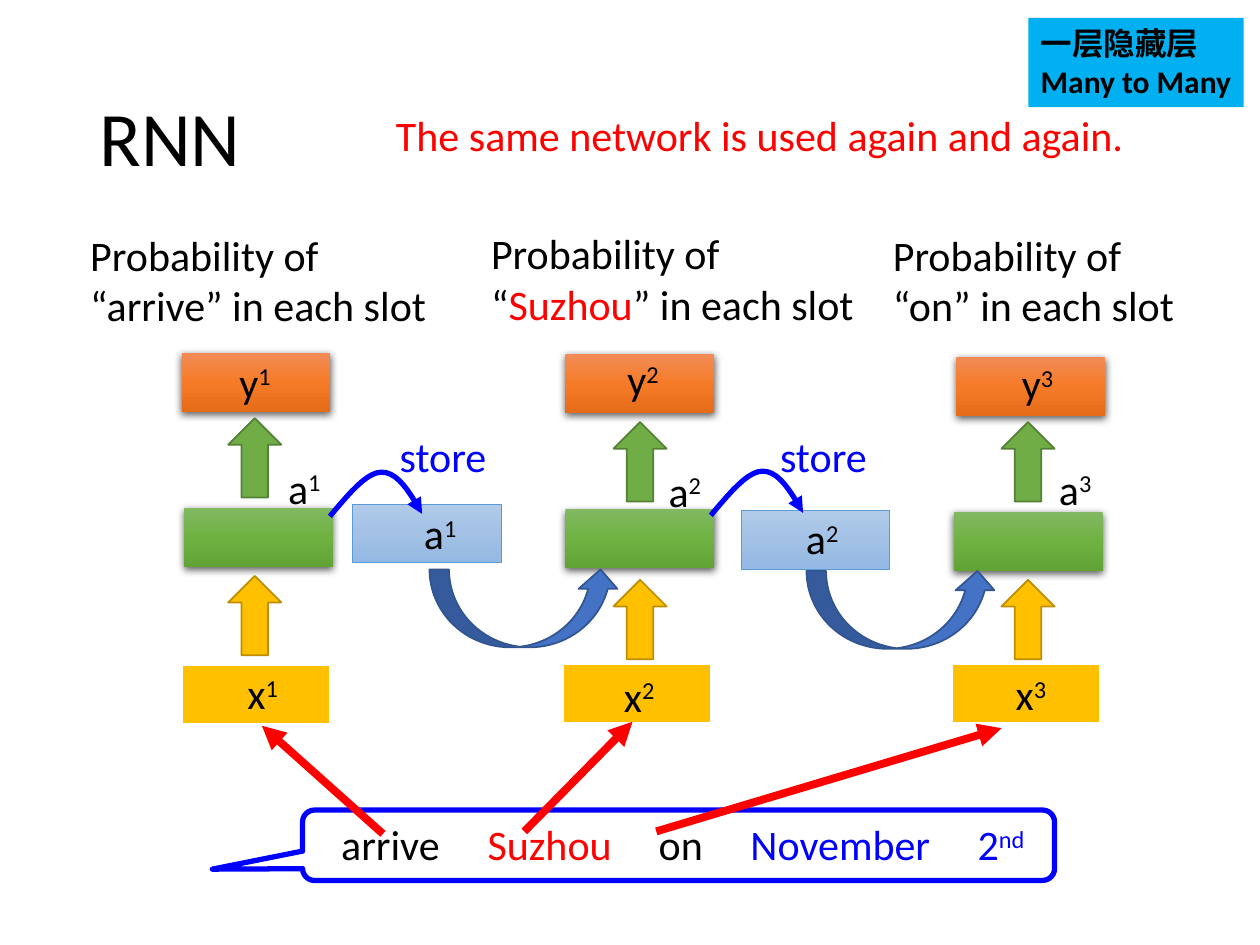
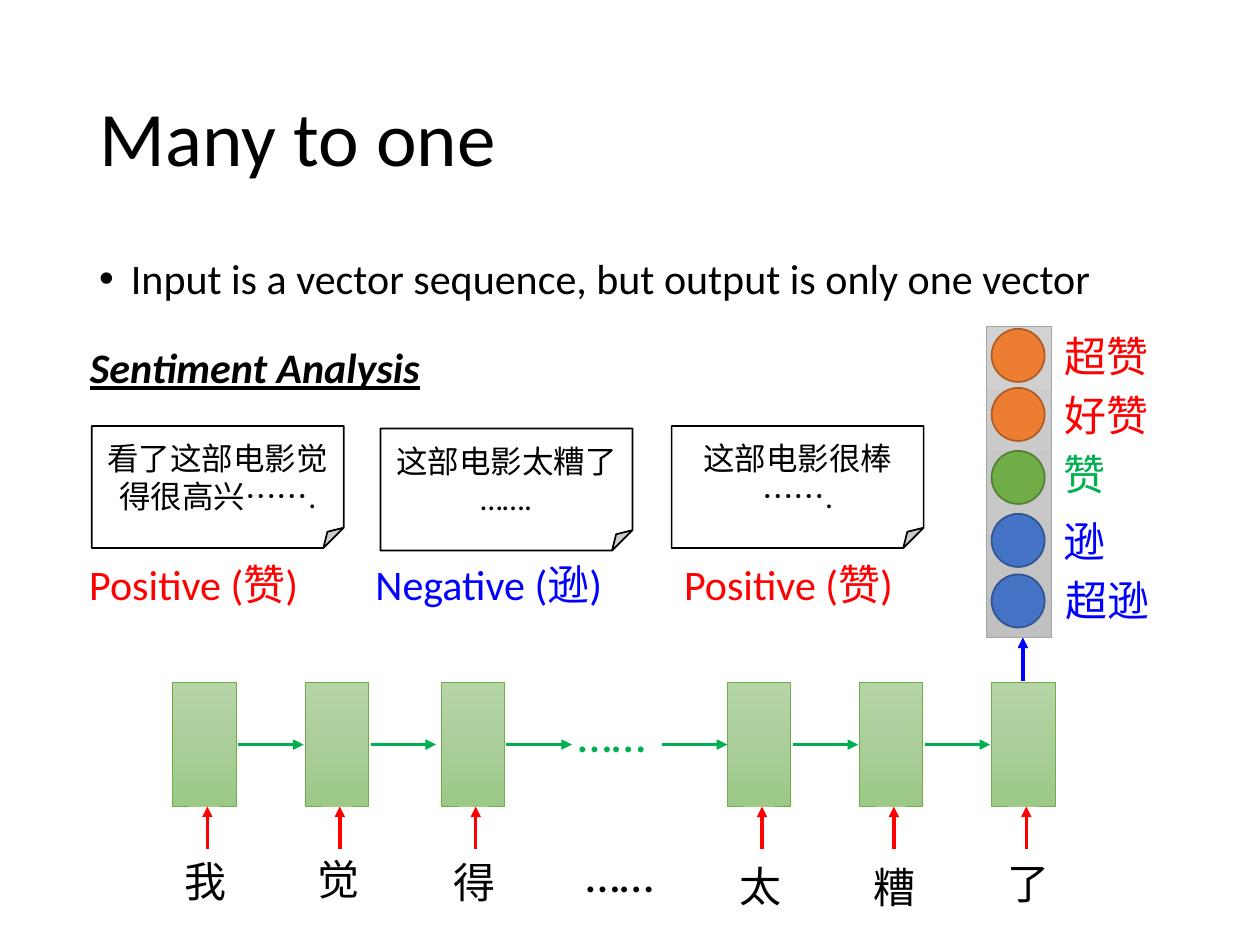
from copy import deepcopy
from dataclasses import dataclass
from typing import NamedTuple, Optional, Sequence, Union

from lxml.etree import SubElement
from pptx import Presentation
from pptx.dml.color import RGBColor
from pptx.enum.shapes import MSO_CONNECTOR, MSO_SHAPE as Preset
from pptx.enum.text import MSO_ANCHOR as Anchor, MSO_AUTO_SIZE, PP_ALIGN as Align
from pptx.oxml.ns import qn
from pptx.util import Cm, Pt

FONT = "Calibri"
BLACK = RGBColor(0x00, 0x00, 0x00)
WHITE = RGBColor(0xFF, 0xFF, 0xFF)
RED = RGBColor(0xFF, 0x00, 0x00)
BLUE = RGBColor(0x00, 0x00, 0xFF)
SKY = RGBColor(0x00, 0xB0, 0xF0)
EMERALD = RGBColor(0x00, 0xB0, 0x50)
GOLD, GOLD_EDGE = RGBColor(0xFF, 0xC0, 0x00), RGBColor(0xBD, 0x8E, 0x00)
GREEN, GREEN_EDGE = RGBColor(0x70, 0xAD, 0x47), RGBColor(0x53, 0x80, 0x35)
NAVY, NAVY_EDGE = RGBColor(0x44, 0x72, 0xC4), RGBColor(0x32, 0x54, 0x91)
ORANGE, ORANGE_EDGE = RGBColor(0xED, 0x7D, 0x31), RGBColor(0xAF, 0x5C, 0x24)
MEMORY_EDGE = RGBColor(0x5B, 0x9B, 0xD5)
SCORE_EDGE = RGBColor(0xA5, 0xA5, 0xA5)


def gradient(*codes: str) -> tuple:
    return tuple(RGBColor.from_string(code) for code in codes)


HIDDEN_FILL = gradient("81B861", "6FB242", "62A336")
OUTPUT_FILL = gradient("F18C57", "F67B28", "E56C19")
MEMORY_FILL = gradient("B1CBE9", "A3C1E5", "93B9E4")
CELL_FILL = gradient("B5D5A7", "AACE9A", "9CC987")
SCORE_FILL = gradient("D2D2D2", "C8C8C8", "C0C0C0")


class Box(NamedTuple):
    """Left, top, width and height in centimetres."""
    left: float
    top: float
    width: float
    height: float

    def lengths(self) -> list:
        return [Cm(value) for value in self]


class Point(NamedTuple):
    x: float
    y: float


class Run(NamedTuple):
    text: str
    color: Optional[RGBColor] = None
    superscript: bool = False


@dataclass
class Step:
    """One time step of the network, with the places of its parts."""
    input_box: Point
    output_box: Point
    output_arrow: Point
    input_label: Point
    output_label: Point
    state_label: Point
    word_arrow: tuple


@dataclass
class Memory:
    """A stored state that is handed to the next step."""
    box: Point
    label: Point
    store_left: float
    curve: Point
    feedback: Point


@dataclass
class Score:
    label: str
    label_at: Point
    circle_top: float
    fill: RGBColor
    edge: RGBColor
    color: RGBColor


@dataclass
class Review:
    lines: list
    note: Point
    verdict: str
    verdict_left: float
    color: RGBColor


@dataclass
class Cell:
    left: float
    character: str
    character_at: Point


STEPS = [
    Step(Point(3.66, 13.41), Point(3.66, 7.11), Point(4.6, 8.43), Point(4.04, 13.34),
         Point(3.89, 7.06), Point(4.88, 9.19), (Point(7.72, 16.81), Point(5.28, 14.63))),
    Step(Point(11.35, 13.39), Point(11.4, 7.14), Point(12.37, 8.51), Point(11.63, 13.39),
         Point(11.71, 7.01), Point(12.55, 9.25), (Point(10.57, 16.76), Point(12.75, 14.55))),
    Step(Point(19.18, 13.39), Point(19.28, 7.19), Point(20.19, 8.51), Point(19.53, 13.36),
         Point(19.66, 7.09), Point(20.42, 9.22), (Point(13.23, 16.76), Point(20.19, 14.68))),
]
MEMORIES = [
    Memory(Point(7.11, 10.16), Point(7.62, 10.11), 7.47, Point(6.65, 9.52), Point(8.66, 11.48)),
    Memory(Point(14.94, 10.29), Point(15.32, 10.21), 15.14, Point(14.33, 9.5), Point(16.26, 11.51)),
]
STORE_CURVE = [
    [Point(0, 0.89), Point(0.38, 0.44), Point(0.74, 0), Point(1.04, 0)],
    [Point(1.04, 0), Point(1.37, -0.01), Point(1.62, 0.42), Point(1.86, 0.84)],
]
PROBABILITIES = [
    ("arrive", BLACK, Box(1.57, 4.5, 7.49, 2.31)),
    ("Suzhou", RED, Box(9.65, 4.47, 8.1, 2.31)),
    ("on", BLACK, Box(17.75, 4.5, 6.48, 2.31)),
]
SENTENCE = [Run("arrive\t"), Run("Suzhou\t", RED), Run("on\t"),
            Run("November\t2", BLUE), Run("nd", BLUE, True)]
SCORES = [
    Score("超赞", Point(21.21, 6.53), 6.63, ORANGE, ORANGE_EDGE, RED),
    Score("好赞", Point(21.21, 7.72), 7.82, ORANGE, ORANGE_EDGE, RED),
    Score("赞", Point(21.18, 8.92), 9.09, GREEN, GREEN_EDGE, EMERALD),
    Score("逊", Point(21.18, 10.26), 10.36, NAVY, NAVY_EDGE, BLUE),
    Score("超逊", Point(21.23, 11.46), 11.58, NAVY, NAVY_EDGE, BLUE),
]
REVIEWS = [
    Review(["看了这部电影觉得很高兴……."], Point(1.85, 8.59), "Positive (赞)", 1.55, RED),
    Review(["这部电影太糟了", "……."], Point(7.67, 8.64), "Negative (逊)", 7.32, BLUE),
    Review(["这部电影很棒 ……."], Point(13.54, 8.59), "Positive (赞)", 13.54, RED),
]
CELLS = [
    Cell(3.48, "我", Point(3.48, 17.12)), Cell(6.15, "觉", Point(6.15, 17.09)),
    Cell(8.89, "得", Point(8.89, 17.15)), Cell(14.66, "太", Point(14.66, 17.22)),
    Cell(17.32, "糟", Point(17.35, 17.25)), Cell(19.99, "了", Point(20.07, 17.17)),
]


def write_text(shape, lines: Sequence[Union[str, list]], *, size: float = 24,
               color: RGBColor = BLACK, bold: bool = False, italic: bool = False,
               underline: bool = False, align=Align.LEFT, anchor=Anchor.TOP,
               wrap: bool = True, spacing: Optional[float] = None,
               bullet: bool = False, tabs: Sequence[float] = ()) -> None:
    """Fill a shape with paragraphs, each a string or a list of runs."""
    frame = shape.text_frame
    frame.auto_size = MSO_AUTO_SIZE.NONE
    frame.word_wrap = wrap
    frame.vertical_anchor = anchor
    for index, line in enumerate(lines):
        paragraph = frame.add_paragraph() if index else frame.paragraphs[0]
        properties = paragraph._p.get_or_add_pPr()
        if bullet:
            properties.set("marL", str(Cm(0.64)))
            properties.set("indent", str(-Cm(0.64)))
            SubElement(properties, qn("a:buFont"), typeface="Arial")
            SubElement(properties, qn("a:buChar"), char="•")
        if tabs:
            tab_list = SubElement(properties, qn("a:tabLst"))
            for tab in tabs:
                SubElement(tab_list, qn("a:tab"), pos=str(Cm(tab)), algn="l")
        paragraph.alignment = align
        if spacing:
            paragraph.line_spacing = spacing
        for part in [Run(line)] if isinstance(line, str) else line:
            run = paragraph.add_run()
            run.text = part.text
            font = run.font
            font.name, font.size = FONT, Pt(size)
            font.bold, font.italic, font.underline = bold, italic, underline
            font.color.rgb = part.color or color
            if part.superscript:
                run._r.get_or_add_rPr().set("baseline", "30000")


def add_text(slide, box: Box, *lines: Union[str, list], **text_format) -> None:
    write_text(slide.shapes.add_textbox(*box.lengths()), lines, **text_format)


def add_symbol(slide, place: Point, letter: str, number: int) -> None:
    """Write a variable with its superscript number."""
    add_text(slide, Box(*place, 2.51, 1.27), [Run(letter), Run(str(number), superscript=True)],
             align=Align.CENTER)


def style_shape(shape, fill=None, edge: Optional[RGBColor] = None,
                edge_width: float = 1, shadow: bool = False) -> None:
    """Format with no fill, a colour, or a tuple of three gradient colours."""
    shape.shadow.inherit = False
    if fill is None:
        shape.fill.background()
    elif isinstance(fill, RGBColor):
        shape.fill.solid()
        shape.fill.fore_color.rgb = fill
    else:
        shape.fill.gradient()
        shape.fill.gradient_angle = 270
        stop_list = shape._element.spPr.find(".//" + qn("a:gsLst"))
        stop_list.insert(1, deepcopy(stop_list[0]))
        for stop, position, color in zip(shape.fill.gradient_stops, (0, 0.5, 1), fill):
            stop.position = position
            stop.color.rgb = color
    if edge is None:
        shape.line.fill.background()
    else:
        shape.line.color.rgb = edge
        shape.line.width = Pt(edge_width)
    if shadow:
        effects = shape._element.spPr.find(qn("a:effectLst"))
        outer = SubElement(effects, qn("a:outerShdw"), blurRad=str(Pt(4.5)), dist=str(Pt(1.5)),
                           dir="5400000", algn="ctr", rotWithShape="0")
        black = SubElement(outer, qn("a:srgbClr"), val="000000")
        SubElement(black, qn("a:alpha"), val="63000")


def add_shape(slide, preset, box: Box, **style):
    shape = slide.shapes.add_shape(preset, *box.lengths())
    style_shape(shape, **style)
    return shape


def add_arrowhead(shape) -> None:
    SubElement(shape.line._get_or_add_ln(), qn("a:tailEnd"), type="triangle")


def add_arrow(slide, start: Point, end: Point, color: RGBColor, width: float = 2) -> None:
    ends = [Cm(value) for value in (*start, *end)]
    connector = slide.shapes.add_connector(MSO_CONNECTOR.STRAIGHT, *ends)
    connector.line.color.rgb = color
    connector.line.width = Pt(width)
    add_arrowhead(connector)
    SubElement(connector._element.spPr, qn("a:effectLst"))


def bezier(points: Sequence[Point], t: float) -> Point:
    weights = ((1 - t) ** 3, 3 * t * (1 - t) ** 2, 3 * t ** 2 * (1 - t), t ** 3)
    return Point(*(sum(w * value for w, value in zip(weights, axis)) for axis in zip(*points)))


def add_store_curve(slide, place: Point, samples: int = 10) -> None:
    points = [STORE_CURVE[0][0]] + [bezier(part, step / samples) for part in STORE_CURVE
                                    for step in range(1, samples + 1)]
    start, *rest = [(Cm(place.x + point.x), Cm(place.y + point.y)) for point in points]
    builder = slide.shapes.build_freeform(*start)
    builder.add_line_segments(rest, close=False)
    curve = builder.convert_to_shape()
    style_shape(curve, edge=BLUE, edge_width=3)
    add_arrowhead(curve)


def add_titled_slide(presentation, title: str):
    slide = presentation.slides.add_slide(presentation.slide_layouts[5])
    shape = slide.shapes.title
    shape.left, shape.top, shape.width, shape.height = Box(1.75, 1.02, 21.89, 3.68).lengths()
    write_text(shape, [title], size=44, anchor=Anchor.MIDDLE, spacing=0.9)
    return slide


def add_step(slide, step: Step, number: int) -> None:
    size = (3, 1.19)
    arrow_size = (1.07, 1.6)
    rise = 3.13
    add_shape(slide, Preset.RECTANGLE, Box(*step.input_box, *size), fill=GOLD,
              edge=WHITE, edge_width=1.5)
    add_shape(slide, Preset.RECTANGLE,
              Box(step.input_box.x + 0.05, step.output_box.y + rise, *size),
              fill=HIDDEN_FILL, shadow=True)
    add_shape(slide, Preset.RECTANGLE, Box(*step.output_box, *size),
              fill=OUTPUT_FILL, shadow=True)
    x, y = step.output_arrow
    add_shape(slide, Preset.UP_ARROW, Box(x, y, *arrow_size), fill=GREEN, edge=GREEN_EDGE)
    add_shape(slide, Preset.UP_ARROW, Box(x, y + 3.18, *arrow_size), fill=GOLD, edge=GOLD_EDGE)
    add_symbol(slide, step.input_label, "x", number)
    add_symbol(slide, step.output_label, "y", number)
    add_symbol(slide, step.state_label, "a", number)


def add_memory(slide, memory: Memory, number: int) -> None:
    add_shape(slide, Preset.RECTANGLE, Box(*memory.box, 3, 1.19), fill=MEMORY_FILL,
              edge=MEMORY_EDGE, edge_width=0.5)
    add_symbol(slide, memory.label, "a", number)
    add_text(slide, Box(memory.store_left, 8.56, 2.92, 1.27), "store", color=BLUE,
             align=Align.CENTER)
    add_store_curve(slide, memory.curve)
    add_shape(slide, Preset.CURVED_UP_ARROW, Box(*memory.feedback, 3.84, 1.57),
              fill=NAVY, edge=NAVY_EDGE)


def build_rnn_slide(presentation) -> None:
    slide = add_titled_slide(presentation, "RNN")
    for number, step in enumerate(STEPS, 1):
        add_step(slide, step, number)
    for number, memory in enumerate(MEMORIES, 1):
        add_memory(slide, memory, number)
    add_text(slide, Box(7.72, 2.08, 15.19, 1.27), "The same network is used again and again.",
             color=RED, align=Align.CENTER)
    add_text(slide, Box(6.63, 16.38, 14.66, 1.27), SENTENCE, tabs=(2.95, 6.4, 8.25, 12.83))
    callout = add_shape(slide, Preset.ROUNDED_RECTANGULAR_CALLOUT,
                        Box(6.1, 16.33, 15.16, 1.42), edge=BLUE, edge_width=3)
    for index, value in enumerate((-0.62, 0.34, 0.17)):
        callout.adjustments[index] = value
    for step in STEPS:
        add_arrow(slide, *step.word_arrow, RED, 4.5)
    for word, color, box in PROBABILITIES:
        add_text(slide, box, [Run("Probability of “"), Run(word, color), Run("” in each slot")])
    badge = add_shape(slide, Preset.RECTANGLE, Box(20.73, 0.36, 4.34, 1.8), fill=SKY)
    write_text(badge, ["一层隐藏层", "Many to Many"], size=18, bold=True, wrap=False)


def build_many_to_one_slide(presentation) -> None:
    slide = add_titled_slide(presentation, "Many to one")
    add_text(slide, Box(1.75, 5.08, 21.89, 1.27),
             "Input is a vector sequence, but output is only one vector", bullet=True, spacing=0.9)
    add_text(slide, Box(1.37, 6.76, 7.54, 1.27), "Sentiment Analysis", bold=True, italic=True,
             underline=True, align=Align.CENTER)
    for cell in CELLS:
        add_shape(slide, Preset.RECTANGLE, Box(cell.left, 13.76, 1.28, 2.49), fill=CELL_FILL,
                  edge=GREEN, edge_width=0.5)
        center = cell.left + 0.7
        add_arrow(slide, Point(center, 17.12), Point(center, 16.26), RED)
        add_text(slide, Box(*cell.character_at, 1.37, 1.27), cell.character, wrap=False)
    reach = 1.32
    for left in [cell.left + reach for cell in CELLS[:-1]] + [CELLS[3].left - reach]:
        add_arrow(slide, Point(left, 15.01), Point(left + reach, 15.01), EMERALD)
    add_text(slide, Box(11.4, 14.05, 3.07, 1.45), "……", size=28, color=EMERALD)
    add_text(slide, Box(11.56, 16.87, 3.07, 1.45), "……", size=28)
    add_arrow(slide, Point(20.62, 13.72), Point(20.62, 12.85), BLUE)
    add_shape(slide, Preset.RECTANGLE, Box(19.89, 6.58, 1.3, 6.27), fill=SCORE_FILL,
              edge=SCORE_EDGE, edge_width=0.5)
    for score in SCORES:
        add_shape(slide, Preset.OVAL, Box(19.99, score.circle_top, 1.07, 1.07),
                  fill=score.fill, edge=score.edge)
        width = 0.51 + 0.86 * len(score.label)
        add_text(slide, Box(*score.label_at, width, 1.27), score.label, color=score.color,
                 wrap=False)
    for review in REVIEWS:
        note = add_shape(slide, Preset.FOLDED_CORNER, Box(*review.note, 5.08, 2.46),
                         fill=WHITE, edge=BLACK)
        write_text(note, review.lines, size=18, align=Align.CENTER, anchor=Anchor.MIDDLE)
        add_text(slide, Box(review.verdict_left, 11.13, 5.97, 1.27), review.verdict,
                 color=review.color)


def main() -> None:
    presentation = Presentation()
    presentation.slide_width, presentation.slide_height = Cm(25.4), Cm(19.05)
    build_rnn_slide(presentation)
    build_many_to_one_slide(presentation)
    presentation.save("out.pptx")


if __name__ == "__main__":
    main()
